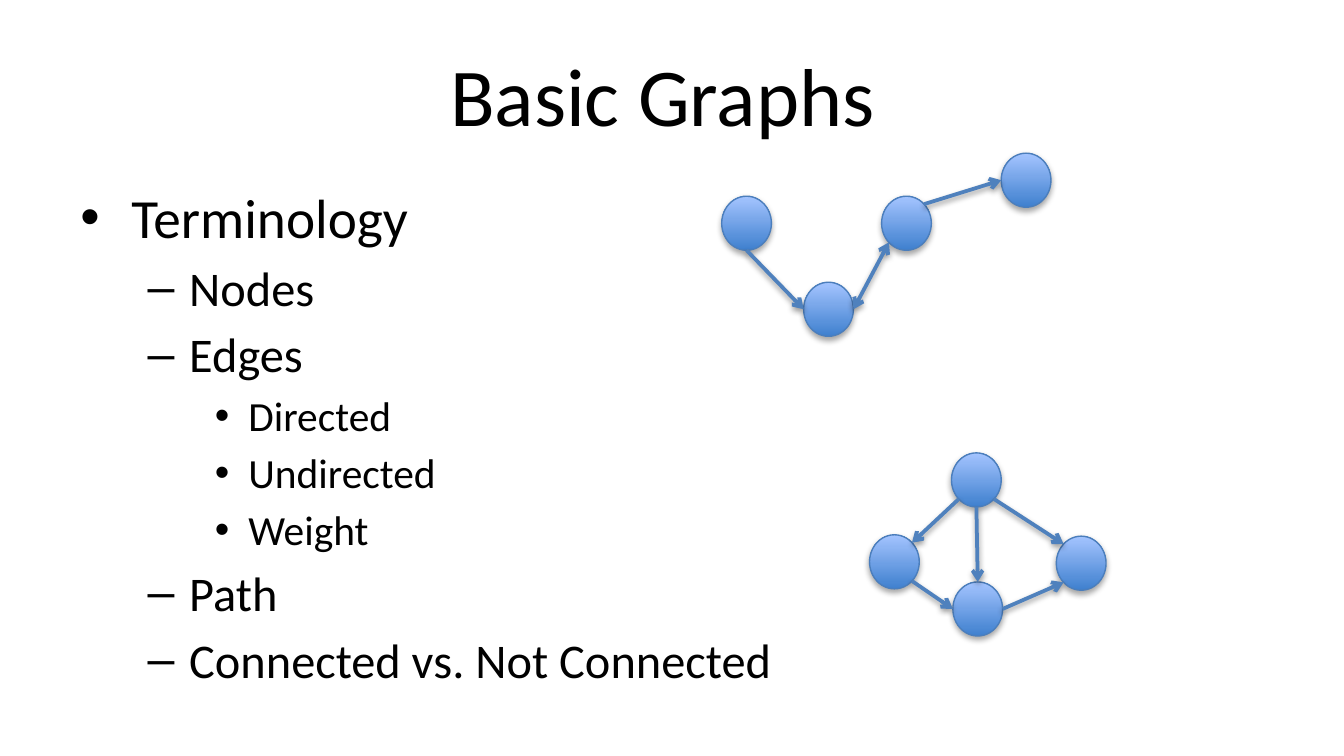
from math import cos, radians, sin

from pptx import Presentation
from pptx.dml.color import RGBColor
from pptx.enum.shapes import MSO_CONNECTOR as Link, MSO_SHAPE as Preset
from pptx.enum.text import MSO_ANCHOR as Anchor, PP_ALIGN as Align
from pptx.oxml import parse_xml
from pptx.oxml.ns import nsdecls
from pptx.util import Inches, Pt

BLACK = RGBColor(0x00, 0x00, 0x00)
NODE_DARK = RGBColor(0x3F, 0x80, 0xCE)
NODE_LIGHT = RGBColor(0xA4, 0xC4, 0xFF)
NODE_LINE = RGBColor(0x4B, 0x7E, 0xBC)
EDGE_LINE = RGBColor(0x4F, 0x81, 0xBD)

WIDTH, HEIGHT = Inches(10), Inches(5.625)
COL, ROW = WIDTH / 100, HEIGHT / 100
NODE_COLS, NODE_ROWS = 3.7, 7.15

SIDES = {"right": 0, "bottom right": 45, "bottom": 90, "bottom left": 135,
         "left": 180, "top left": 225, "top": 270, "top right": 315}

LEVELS = [
    {"size": 29.6, "bullet": "•", "margin": 0.38, "hanging": 0.38},
    {"size": 25.9, "bullet": "–", "margin": 0.81, "hanging": 0.31},
    {"size": 22.2, "bullet": "•", "margin": 1.25, "hanging": 0.25},
]
TERMS = [(0, "Terminology"), (1, "Nodes"), (1, "Edges"), (2, "Directed"),
         (2, "Undirected"), (2, "Weight"), (1, "Path"),
         (1, "Connected vs. Not Connected")]

CHAIN = {
    "box": (53.7, 20.27),
    "nodes": {"start": (0, 5.69), "middle": (11.9, 5.69),
              "low": (6.1, 17.07), "end": (20.8, 0)},
    "edges": [("start", "bottom", "low", "left", False),
              ("low", "right", "middle", "bottom left", True),
              ("middle", "top right", "end", "left", False)],
}
DIAMOND = {
    "box": (64.7, 59.91),
    "nodes": {"apex": (6.1, 0), "west": (0, 10.84),
              "east": (13.9, 11.02), "base": (6.2, 17.07)},
    "edges": [("apex", "bottom left", "west", "top right", False),
              ("apex", "bottom", "base", "top", False),
              ("apex", "bottom right", "east", "top left", False),
              ("west", "bottom right", "base", "left", False),
              ("base", "right", "east", "bottom left", False)],
}


def grid(col, row):
    """Turn columns and rows into slide lengths."""
    return round(col * COL), round(row * ROW)


def set_all(target, values):
    """Set each attribute of the target from a dict."""
    for name, value in values.items():
        setattr(target, name, value)


def add_shadow(shape, distance, alpha):
    """Cast a soft black shadow straight down."""
    shape._element.spPr.append(parse_xml(
        f'<a:effectLst {nsdecls("a")}><a:outerShdw blurRad="40000" '
        f'dist="{distance}" dir="5400000" rotWithShape="0">'
        f'<a:srgbClr val="000000"><a:alpha val="{alpha}000"/></a:srgbClr>'
        '</a:outerShdw></a:effectLst>'))


def add_text_frame(page, box, anchor):
    """Add a wrapping text box and return its frame."""
    frame = page.shapes.add_textbox(*grid(*box[:2]), *grid(*box[2:])).text_frame
    set_all(frame, {"word_wrap": True, "vertical_anchor": anchor})
    return frame


def add_span(para, text, size):
    """Add black Calibri text to a paragraph."""
    span = para.add_run()
    span.text = text
    set_all(span.font, {"name": "Calibri", "size": Pt(size)})
    span.font.color.rgb = BLACK


def add_title(page, box, text):
    """Place the centred title in its box."""
    para = add_text_frame(page, box, Anchor.MIDDLE).paragraphs[0]
    para.alignment = Align.CENTER
    add_span(para, text, 44)


def add_outline(page, box, terms):
    """Place the bulleted terms in their box."""
    frame = add_text_frame(page, box, Anchor.TOP)
    for index, (level, text) in enumerate(terms):
        para = frame.add_paragraph() if index else frame.paragraphs[0]
        style = LEVELS[level]
        before = Pt(0.18 * style["size"]) if index else Pt(0)
        set_all(para, {"level": level, "space_before": before})
        props = para._p.get_or_add_pPr()
        props.set("marL", str(Inches(style["margin"])))
        props.set("indent", str(-Inches(style["hanging"])))
        props.append(parse_xml(f'<a:buFont {nsdecls("a")} typeface="Arial"/>'))
        props.append(parse_xml(
            f'<a:buChar {nsdecls("a")} char="{style["bullet"]}"/>'))
        add_span(para, text, style["size"])


def add_node(page, col, row):
    """Draw one shaded node at a grid place."""
    node = page.shapes.add_shape(
        Preset.OVAL, *grid(col, row), *grid(NODE_COLS, NODE_ROWS))
    node.fill.gradient()
    node.fill.gradient_angle = 90
    for stop, color in zip(node.fill.gradient_stops, (NODE_DARK, NODE_LIGHT)):
        stop.color.rgb = color
    node.line.color.rgb = NODE_LINE
    node.line.width = Pt(0.75)
    add_shadow(node, 23000, 35)
    return node


def rim_point(node, side):
    """Find the point on a node's rim at the named side."""
    angle = radians(SIDES[side])
    return (round(node.left + node.width / 2 * (1 + cos(angle))),
            round(node.top + node.height / 2 * (1 + sin(angle))))


def add_edge(page, start, end, two_way):
    """Draw an arrow between two points."""
    edge = page.shapes.add_connector(Link.STRAIGHT, *start, *end)
    edge.line.color.rgb = EDGE_LINE
    edge.line.width = Pt(2)
    for tag in ("headEnd", "tailEnd") if two_way else ("tailEnd",):
        edge.line._get_or_add_ln().append(
            parse_xml(f'<a:{tag} {nsdecls("a")} type="arrow"/>'))
    add_shadow(edge, 20000, 38)


def add_graph(page, box, nodes, edges):
    """Place a graph's nodes and edges from the corner of its box."""
    left, top = box
    ovals = {name: add_node(page, left + col, top + row)
             for name, (col, row) in nodes.items()}
    for source, source_side, target, target_side, two_way in edges:
        add_edge(page, rim_point(ovals[source], source_side),
                 rim_point(ovals[target], target_side), two_way)


def main():
    """Build the slide and save the deck."""
    deck = Presentation()
    set_all(deck, {"slide_width": WIDTH, "slide_height": HEIGHT})
    page = deck.slides.add_slide(deck.slide_layouts[6])
    add_title(page, (5, 4, 90, 16.67), "Basic Graphs ")
    add_outline(page, (5, 23.33, 90, 66), TERMS)
    for graph in (CHAIN, DIAMOND):
        add_graph(page, **graph)
    deck.save("out.pptx")


if __name__ == "__main__":
    main()
